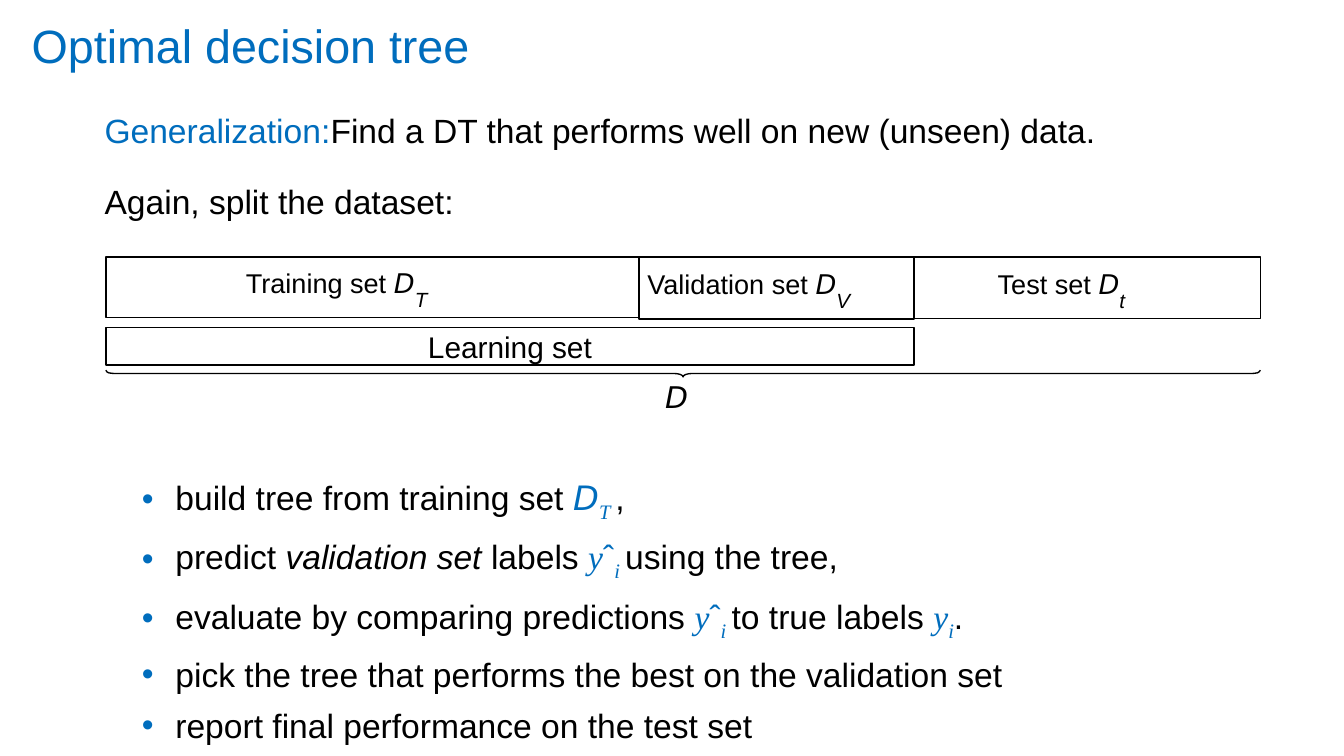
import pptx
import pptx.dml.color
import pptx.enum.shapes
import pptx.enum.text
import pptx.oxml.ns
import pptx.util
from lxml import etree

Pt = pptx.util.Pt
BLUE = "006DBD"
BLACK = "000000"
SANS, MATH, SERIF = "Arial", "DejaVu Sans", "Times New Roman"


def color(hex_string):
    return pptx.dml.color.RGBColor.from_string(hex_string)


def prepare_frame(shape, top_inset):
    frame = shape.text_frame
    frame.auto_size = pptx.enum.text.MSO_AUTO_SIZE.NONE
    frame.word_wrap = True
    frame.vertical_anchor = pptx.enum.text.MSO_ANCHOR.TOP
    frame.margin_left = frame.margin_right = frame.margin_bottom = 0
    frame.margin_top = Pt(top_inset)
    return frame


def format_paragraph(paragraph, margin=0, indent=0, before=0, centered=False):
    align = pptx.enum.text.PP_ALIGN
    paragraph.alignment = align.CENTER if centered else align.LEFT
    paragraph.space_before = Pt(before)
    properties = paragraph._p.get_or_add_pPr()
    properties.set("marL", str(Pt(margin)))
    properties.set("indent", str(Pt(indent)))
    return properties


def add_bullet(properties):
    qn = pptx.oxml.ns.qn
    bullet_color = etree.SubElement(properties, qn("a:buClr"))
    etree.SubElement(bullet_color, qn("a:srgbClr"), val=BLUE)
    etree.SubElement(properties, qn("a:buFont"), typeface=SANS)
    etree.SubElement(properties, qn("a:buChar"), char="•")


def format_run(run, size=18, font=SANS, fill=BLACK, italic=False, baseline=0):
    run.font.size = Pt(size)
    run.font.name = font
    run.font.color.rgb = color(fill)
    run.font.italic = italic
    if baseline:
        run._r.get_or_add_rPr().set("baseline", str(baseline * 1000))


def add_run(paragraph, text, **style):
    run = paragraph.add_run()
    run.text = text
    format_run(run, **style)


def add_runs(paragraph, pieces):
    """Add pieces, each a plain string or a (text, style) pair."""
    for piece in pieces:
        text, style = (piece, {}) if isinstance(piece, str) else piece
        add_run(paragraph, text, **style)


def symbol(text, font=SERIF):
    return text, dict(font=font, fill=BLUE, italic=True)


def subscript(text):
    return text, dict(size=19, font=SERIF, fill=BLUE, italic=True, baseline=-25)


def place_title(slide, left, top, width, height):
    title = slide.shapes.title
    title.left, title.top, title.width, title.height = map(Pt, (left, top, width, height))
    frame = prepare_frame(title, 2)
    frame.text = "Optimal decision tree"
    format_paragraph(frame.paragraphs[0], margin=2)
    format_run(frame.paragraphs[0].runs[0], size=25, fill=BLUE)


def add_introduction(slide, left, top, width, height):
    box = slide.shapes.add_textbox(*map(Pt, (left, top, width, height)))
    frame = prepare_frame(box, 1.5)
    goal, split = frame.paragraphs[0], frame.add_paragraph()
    format_paragraph(goal, margin=2)
    add_runs(goal, [("Generalization:", dict(fill=BLUE)),
                    "Find a DT that performs well on new (unseen) data."])
    format_paragraph(split, margin=2, before=16)
    add_runs(split, ["Again, split the dataset:"])


def add_bar(slide, left, top, width, height, top_inset):
    bar = slide.shapes.add_shape(pptx.enum.shapes.MSO_SHAPE.RECTANGLE,
                                 *map(Pt, (left, top, width, height)))
    bar.shadow.inherit = False
    bar.fill.background()
    bar.line.color.rgb = color(BLACK)
    bar.line.width = Pt(0.75)
    return prepare_frame(bar, top_inset).paragraphs[0]


def add_brace(slide, left, top, width, height):
    """Draw a downward brace, mirrored about its centre."""
    middle = width / 2
    half = [(0, 0), (0.6, 0.25), (1.5, 0.4), (2.8, 0.45), (4.3, 0.5),
            (middle - 4.5, 0.5), (middle - 2.8, 0.55),
            (middle - 1.4, 0.65), (middle - 0.4, 0.8)]
    outline = half + [(middle, 1)] + [(width - x, y) for x, y in reversed(half)]
    points = [(Pt(left + x), Pt(top + y * height)) for x, y in outline]
    builder = slide.shapes.build_freeform(*points[0])
    builder.add_line_segments(points[1:], close=False)
    brace = builder.convert_to_shape()
    brace.shadow.inherit = False
    brace.fill.background()
    brace.line.color.rgb = color(BLACK)
    brace.line.width = Pt(0.75)


def add_dataset_split(slide, left, top, width):
    parts = [("Training set ", "T", 285.6, 32.6, 75, 2),
             ("Validation set ", "V", 147.4, 33.2, 4.5, 2.7),
             ("Test set ", "t", 185.5, 33, 44.8, 2.5)]
    x = left
    for name, index, part_width, height, margin, inset in parts:
        paragraph = add_bar(slide, x, top, part_width, height, inset)
        format_paragraph(paragraph, margin=margin)
        add_runs(paragraph, [
            (name, dict(size=25, baseline=30)),
            ("D", dict(size=25, font=MATH, italic=True, baseline=30)),
            (index, dict(size=11, italic=True)),
        ])
        x += part_width

    learning_width = sum(part[2] for part in parts[:2])
    paragraph = add_bar(slide, left, top + 37.8, learning_width, 20, 0.7)
    format_paragraph(paragraph, centered=True)
    add_runs(paragraph, [("Learning set", dict(size=16))])
    add_brace(slide, left, top + 60.6, width, 3.6)


def add_steps(slide, left, top, width, height):
    """Place the dataset label under the brace, then the bulleted steps."""
    predicted = [symbol("y"), ("ˆ", dict(fill=BLUE)), subscript("i ")]
    steps = [
        ["build tree from training set ", symbol("D", MATH), subscript("T "), ","],
        ["predict ", ("validation set ", dict(italic=True)), "labels ",
         *predicted, "using the tree,"],
        ["evaluate by comparing predictions ", *predicted, "to true labels ",
         symbol("y"), subscript("i"), "."],
        ["pick the tree that performs the best on the validation set"],
        ["report final performance on the test set"],
    ]
    box = slide.shapes.add_textbox(*map(Pt, (left, top, width, height)))
    frame = prepare_frame(box, 1.5)
    label = frame.paragraphs[0]
    format_paragraph(label, margin=80, centered=True)
    add_runs(label, [("D", dict(size=16, font=MATH, italic=True))])
    for number, pieces in enumerate(steps):
        paragraph = frame.add_paragraph()
        before = 6 if number else 32
        add_bullet(format_paragraph(paragraph, margin=25, indent=-18, before=before))
        add_runs(paragraph, pieces)


def main():
    presentation = pptx.Presentation()
    presentation.slide_width, presentation.slide_height = Pt(720), Pt(405)
    slide = presentation.slides.add_slide(presentation.slide_layouts[5])
    place_title(slide, 15, 7.2, 251.5, 33)
    add_introduction(slide, 54, 57.6, 561, 61)
    add_dataset_split(slide, 56.7, 137.7, 618.5)
    add_steps(slide, 69, 201.6, 507, 184.5)
    presentation.save("out.pptx")


if __name__ == "__main__":
    main()
